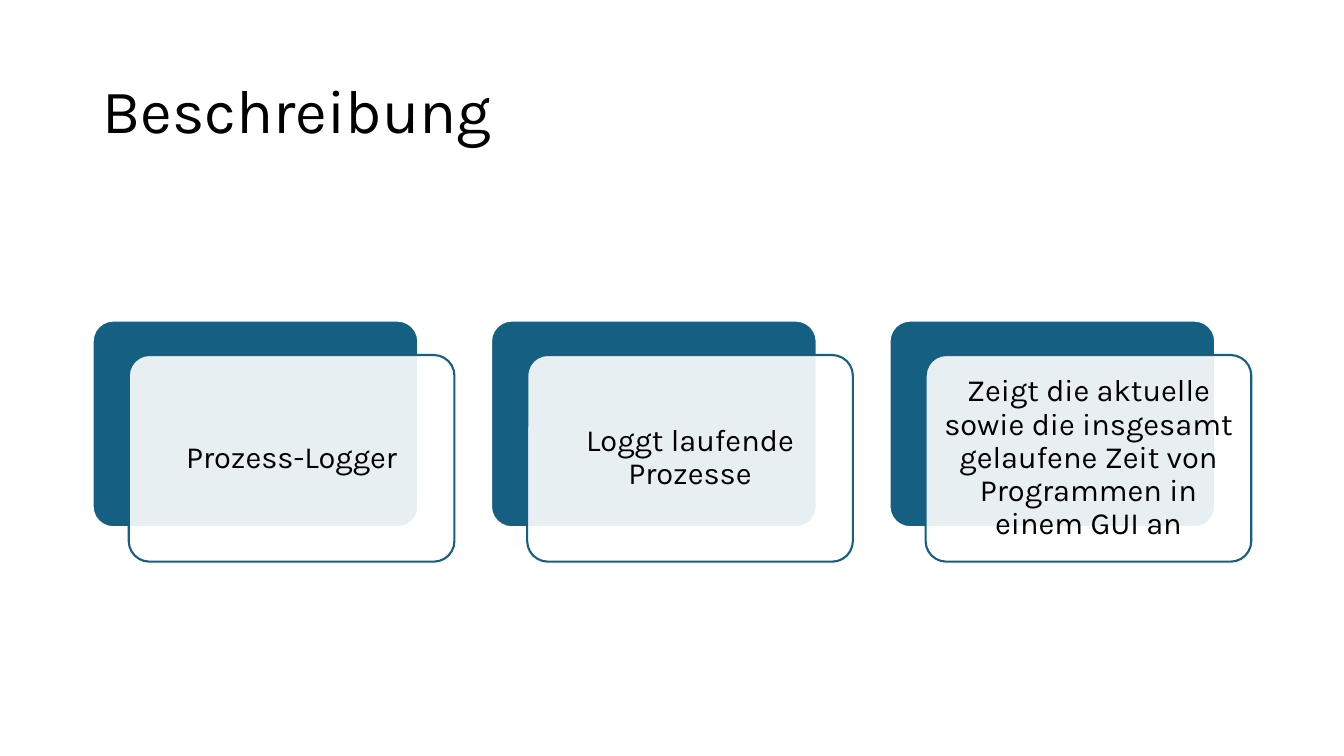
from dataclasses import dataclass

from lxml.etree import SubElement
from pptx import Presentation
from pptx.dml.color import RGBColor
from pptx.enum.shapes import MSO_SHAPE
from pptx.enum.text import MSO_ANCHOR, PP_ALIGN
from pptx.oxml.ns import qn
from pptx.shapes.autoshape import Shape
from pptx.slide import Slide
from pptx.util import Pt

FONT = "Karla"
BLACK = RGBColor(0x00, 0x00, 0x00)
WHITE = RGBColor(0xFF, 0xFF, 0xFF)
TEAL = RGBColor(0x15, 0x60, 0x82)

MARGIN = 66.2
CARD_TOP = 229
CARD_W, CARD_H = 232.6, 147.6
CARD_PITCH = 284.6
PANEL_DX, PANEL_DY = 25.8, 24.6


@dataclass
class Card:
    left: float
    text: str


TEXTS = [
    "Prozess-Logger",
    "Loggt laufende Prozesse",
    "Zeigt die aktuelle sowie die insgesamt gelaufene Zeit von Programmen in einem GUI an",
]
CARDS = [Card(MARGIN + i * CARD_PITCH, text) for i, text in enumerate(TEXTS)]


def write_text(sp: Shape, text: str, *, size: float,
               align: PP_ALIGN = PP_ALIGN.LEFT,
               inset_x: float = 7.2, inset_y: float = 3.6) -> None:
    tf = sp.text_frame
    tf.word_wrap = True
    tf.vertical_anchor = MSO_ANCHOR.MIDDLE
    tf.margin_left = tf.margin_right = Pt(inset_x)
    tf.margin_top = tf.margin_bottom = Pt(inset_y)
    p = tf.paragraphs[0]
    p.alignment = align
    p.line_spacing = 0.9
    r = p.add_run()
    r.text = text
    r.font.name = FONT
    r.font.size = Pt(size)
    r.font.color.rgb = BLACK


def add_rounded(s: Slide, left: float, top: float, fill: RGBColor, line: RGBColor) -> Shape:
    sp = s.shapes.add_shape(MSO_SHAPE.ROUNDED_RECTANGLE, Pt(left), Pt(top), Pt(CARD_W), Pt(CARD_H))
    sp.adjustments[0] = 0.1
    sp.shadow.inherit = False
    sp.fill.solid()
    sp.fill.fore_color.rgb = fill
    sp.line.color.rgb = line
    sp.line.width = Pt(1.5)
    return sp


def set_opacity(sp: Shape, percent: int) -> None:
    color = sp.fill._xPr.find(qn("a:solidFill"))[0]
    SubElement(color, qn("a:alpha")).set("val", str(percent * 1000))


def add_card(s: Slide, card: Card) -> None:
    """Draw a teal card with an offset translucent panel that holds its text."""
    add_rounded(s, card.left, CARD_TOP, TEAL, WHITE)
    panel = add_rounded(s, card.left + PANEL_DX, CARD_TOP + PANEL_DY, WHITE, TEAL)
    set_opacity(panel, 90)
    write_text(panel, card.text, size=22, align=PP_ALIGN.CENTER, inset_x=6.6, inset_y=6.6)


def main() -> None:
    prs = Presentation()
    prs.slide_width, prs.slide_height = Pt(960), Pt(540)
    s = prs.slides.add_slide(prs.slide_layouts[6])
    title = s.shapes.add_textbox(Pt(MARGIN), Pt(28.8), Pt(828), Pt(104.4))
    write_text(title, "Beschreibung", size=44)
    for card in CARDS:
        add_card(s, card)
    prs.save("out.pptx")


if __name__ == "__main__":
    main()
